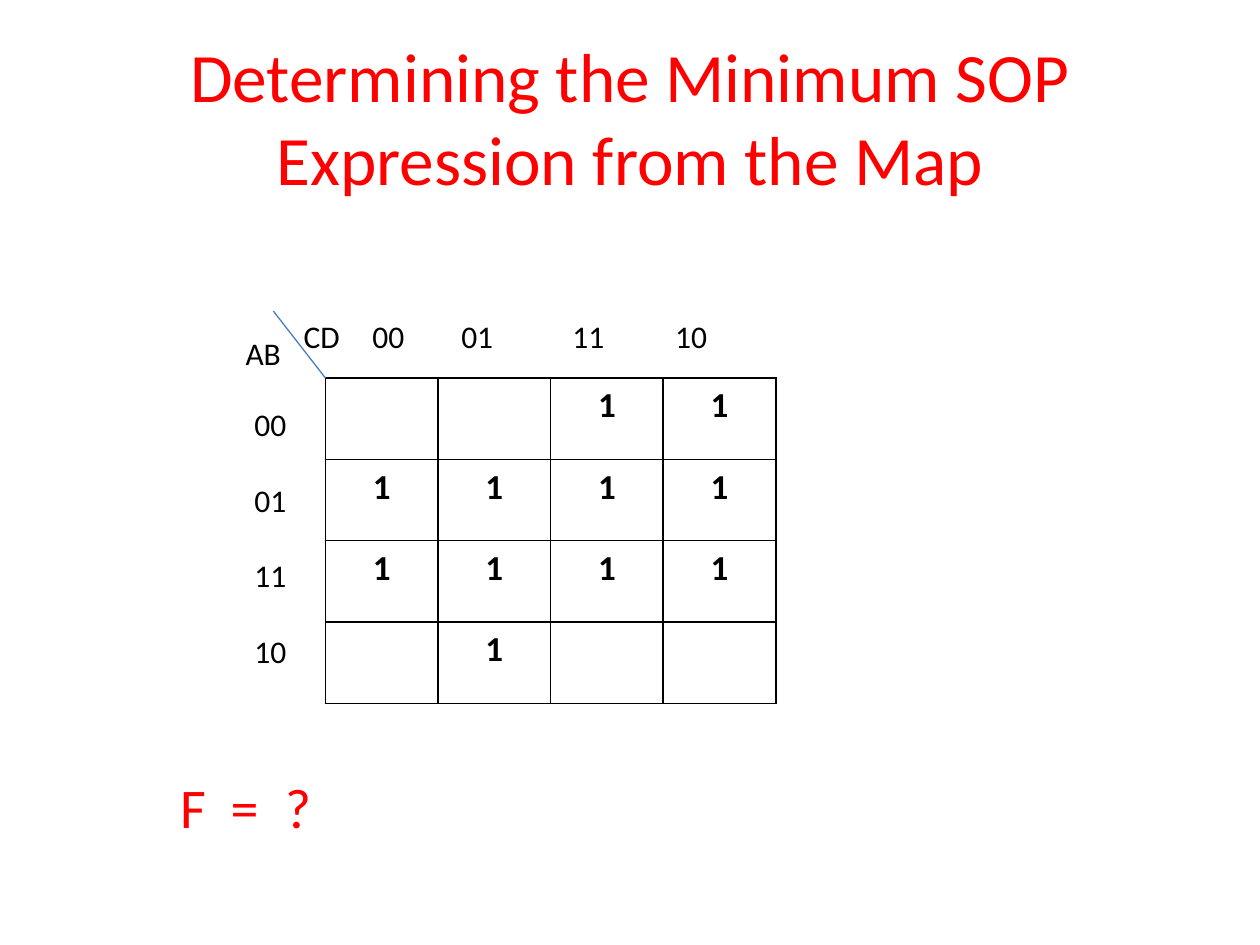
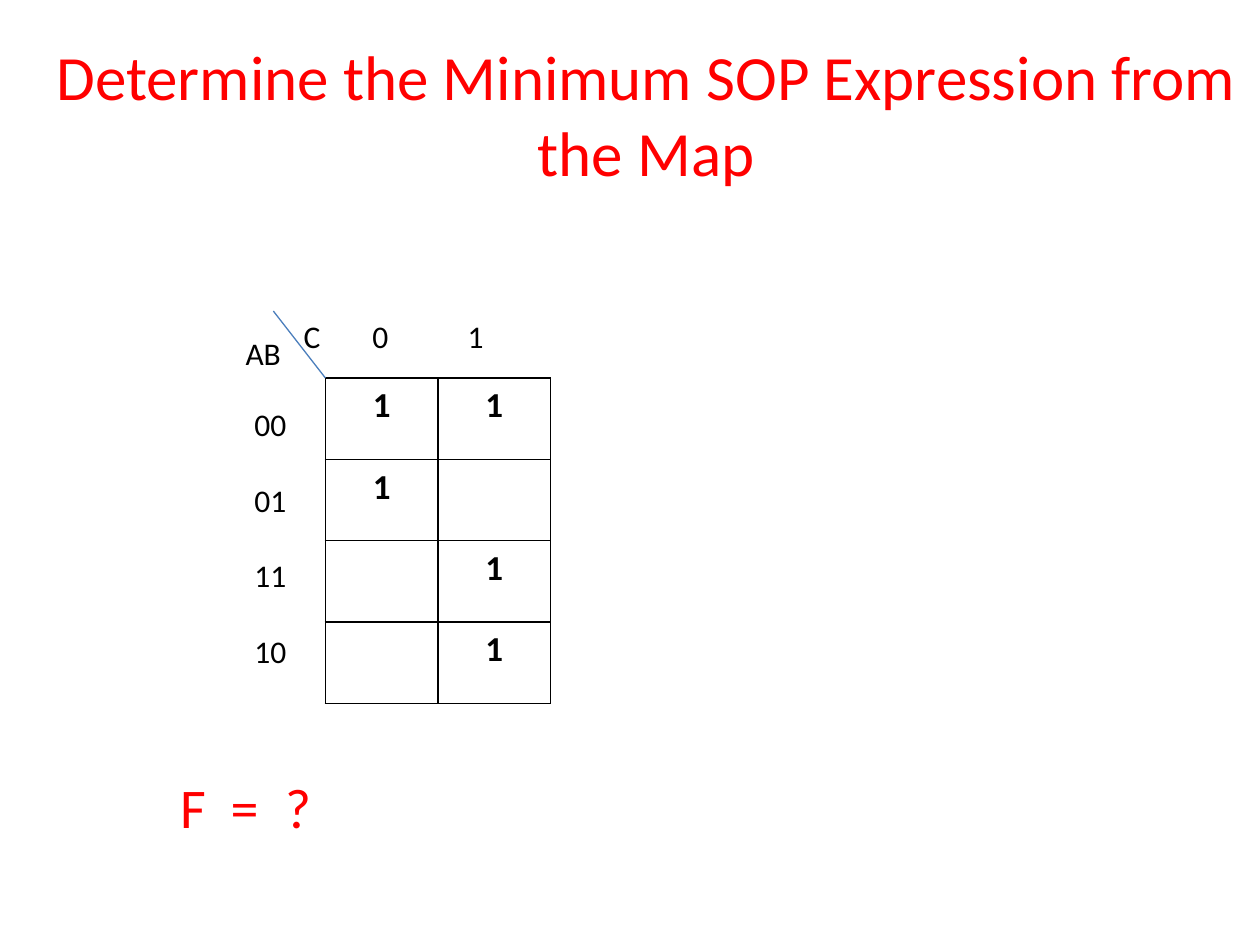
from dataclasses import dataclass

import pptx
import pptx.util
import pptx.dml.color
import pptx.enum.shapes
import pptx.enum.text
import pptx.oxml
import pptx.oxml.ns
from lxml import etree

Cm, Pt = pptx.util.Cm, pptx.util.Pt
RGB = pptx.dml.color.RGBColor.from_string
ALIGN = pptx.enum.text.PP_ALIGN


# Content: each Karnaugh map, with header tab stops in cm
ROW_LABELS = ["00", "01", "11", "10"]
QUESTION = ["F", "=", "?"]
QUESTION_TABS = [1.02, 2.12]
MAPS = [
    {
        "title": "Determining the Minimum SOP Expression from the Map",
        "title_box": (1.27, 0.76, 22.86, 3.18),
        "title_size": 39.6,
        "column_variable": "CD",
        "column_labels": ["00", "01", "11", "10"],
        "column_tabs": [1.79, 4.03, 6.1],
        "cells": ["  11", "1111", "1111", " 1  "],
    },
    {
        "title": "Determine the Minimum SOP Expression from the Map",
        "title_box": (0.43, 0.69, 25.2, 3.18),
        "title_size": 36,
        "column_variable": "C",
        "column_labels": ["0", "1"],
        "column_tabs": [1.92],
        "cells": ["11", "1 ", " 1", " 1"],
    },
]


@dataclass(frozen=True)
class Theme:
    font: str = "Calibri"
    accent: str = "FF0000"
    ink: str = "000000"
    diagonal: str = "4B7EBC"
    label_size: float = 18
    cell_size: float = 20
    question_size: float = 32
    row_label_gap: float = 21.5


THEME = Theme()

# Map geometry in cm
MAP_LEFT, MAP_TOP = 6.56, 7.62
CELL_WIDTH, CELL_HEIGHT = 2.27, 1.64
CORNER_LEFT, CORNER_TOP = 5.51, 6.27
LABEL_HEIGHT = 1.02


def style(para, size, color, bold=False, align=ALIGN.LEFT):
    para.alignment = align
    para.font.name = THEME.font
    para.font.size = Pt(size)
    para.font.bold = bold
    para.font.color.rgb = RGB(color)


def set_tabs(para, stops):
    properties = para._p.get_or_add_pPr()
    tab_list = etree.Element(pptx.oxml.ns.qn("a:tabLst"))
    for stop in stops:
        etree.SubElement(tab_list, pptx.oxml.ns.qn("a:tab"), pos=str(int(Cm(stop))), algn="l")
    properties.insert(0, tab_list)


def add_text(page, place, lines, size=THEME.label_size, color=THEME.ink, tabs=(), gap=0):
    box = page.shapes.add_textbox(*map(Cm, place))
    frame = box.text_frame
    frame.word_wrap = True
    frame.text = "\n".join(lines)
    for para in frame.paragraphs:
        style(para, size, color)
        if gap:
            para.space_after = Pt(gap)
        if tabs:
            set_tabs(para, tabs)


def add_title(page, text, place, size):
    title = page.shapes.title
    title.left, title.top, title.width, title.height = map(Cm, place)
    frame = title.text_frame
    frame.text = text
    frame.auto_size = pptx.enum.text.MSO_AUTO_SIZE.NONE
    frame.vertical_anchor = pptx.enum.text.MSO_ANCHOR.MIDDLE
    style(frame.paragraphs[0], size, THEME.accent, align=ALIGN.CENTER)


def outline_cell(cell):
    properties = cell._tc.get_or_add_tcPr()
    for index, side in enumerate(("lnL", "lnR", "lnT", "lnB")):
        border = pptx.oxml.parse_xml(
            f'<a:{side} {pptx.oxml.ns.nsdecls("a")} w="{int(Pt(1))}"><a:solidFill>'
            f'<a:srgbClr val="{THEME.ink}"/></a:solidFill></a:{side}>'
        )
        properties.insert(index, border)


def add_grid(page, rows):
    row_count, column_count = len(rows), len(rows[0])
    table = page.shapes.add_table(
        row_count, column_count, Cm(MAP_LEFT), Cm(MAP_TOP),
        Cm(CELL_WIDTH * column_count), Cm(CELL_HEIGHT * row_count),
    ).table
    table.first_row = table.horz_banding = False
    for row_index, row in enumerate(rows):
        for column_index, value in enumerate(row):
            cell = table.cell(row_index, column_index)
            cell.fill.background()
            outline_cell(cell)
            cell.text = value.strip()
            style(cell.text_frame.paragraphs[0], THEME.cell_size, THEME.ink,
                  bold=True, align=ALIGN.CENTER)


def add_diagonal(page):
    line = page.shapes.add_connector(
        pptx.enum.shapes.MSO_CONNECTOR.STRAIGHT,
        Cm(CORNER_LEFT), Cm(CORNER_TOP), Cm(MAP_LEFT), Cm(MAP_TOP),
    )
    line.line.color.rgb = RGB(THEME.diagonal)
    line.line.width = Pt(0.75)
    etree.SubElement(line._element.spPr, pptx.oxml.ns.qn("a:effectLst"))


def add_map_page(deck, content):
    page = deck.slides.add_slide(deck.slide_layouts.get_by_name("Title Only"))
    add_title(page, content["title"], content["title_box"], content["title_size"])
    add_grid(page, content["cells"])
    add_diagonal(page)

    # Variable names and axis labels
    add_text(page, (4.7, 6.6, 1.4, LABEL_HEIGHT), ["AB"])
    add_text(page, (5.87, CORNER_TOP, 1.4, LABEL_HEIGHT), [content["column_variable"]])
    header_width = CELL_WIDTH * len(content["column_labels"]) - 1
    add_text(page, (7.26, CORNER_TOP, header_width, LABEL_HEIGHT),
             ["\t".join(content["column_labels"])], tabs=content["column_tabs"])
    add_text(page, (4.88, 8.05, 1.24, 5.64), ROW_LABELS, gap=THEME.row_label_gap)

    # Question below the map
    add_text(page, (3.38, 15.44, 11.63, 1.63), ["\t".join(QUESTION)],
             THEME.question_size, THEME.accent, QUESTION_TABS)


def main():
    deck = pptx.Presentation()
    deck.slide_width, deck.slide_height = Cm(25.4), Cm(19.05)
    for content in MAPS:
        add_map_page(deck, content)
    deck.save("out.pptx")


if __name__ == "__main__":
    main()
